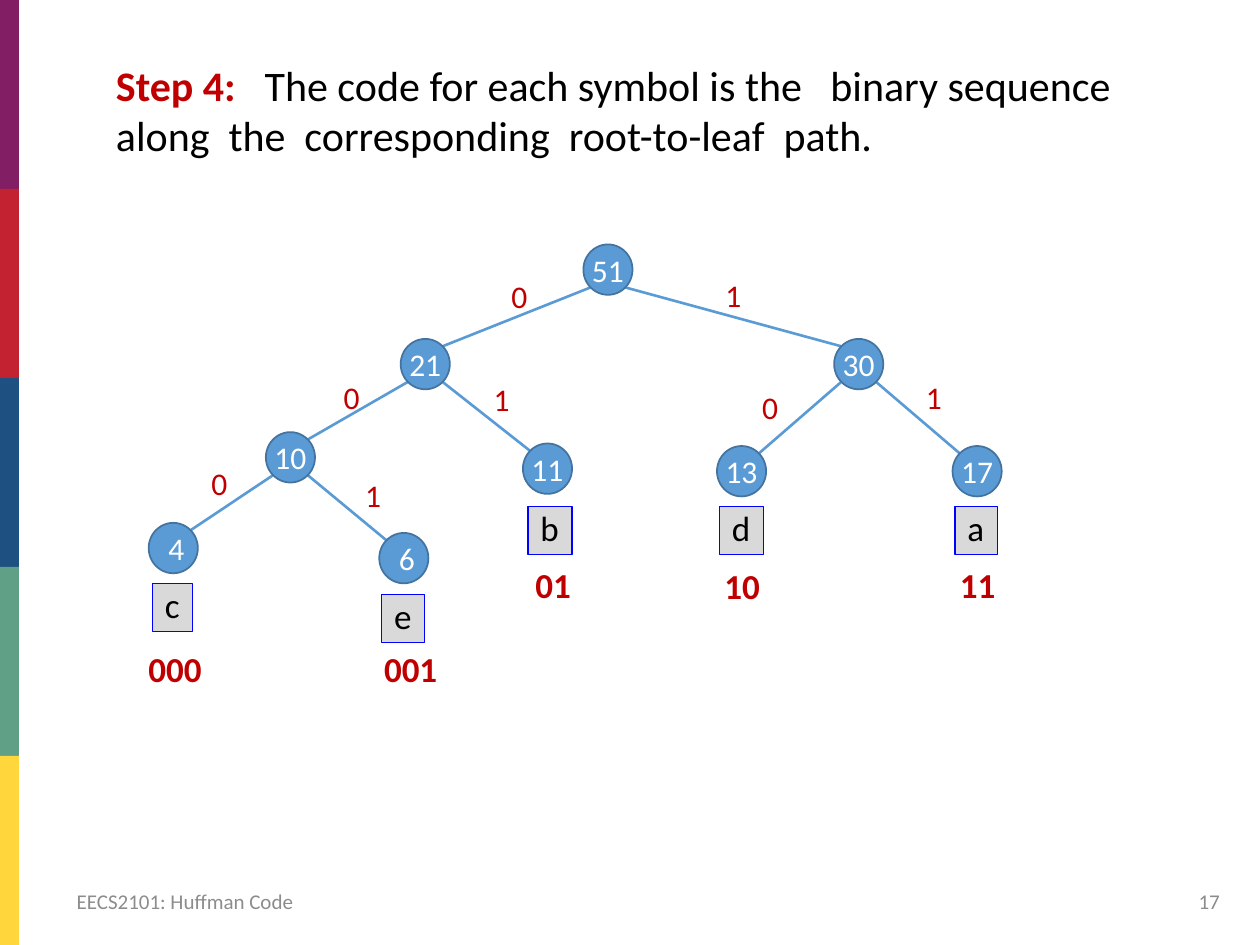
import lxml.etree
import math
import pptx
import pptx.util
from pptx.dml.color import RGBColor
from pptx.enum.shapes import MSO_CONNECTOR, MSO_SHAPE
from pptx.enum.text import MSO_ANCHOR, MSO_AUTO_SIZE, PP_ALIGN
from pptx.oxml.ns import qn
from pptx.util import Inches

FONT = "Calibri"
BLACK = RGBColor(0x00, 0x00, 0x00)
WHITE = RGBColor(0xFF, 0xFF, 0xFF)
RED = RGBColor(0xC0, 0x00, 0x00)
GREY = RGBColor(0x8C, 0x8C, 0x8C)
NODE_FILL = RGBColor(0x5B, 0x9B, 0xD5)
NODE_LINE = RGBColor(0x43, 0x73, 0x9E)
LETTER_FILL = RGBColor(0xD9, 0xD9, 0xD9)
LETTER_LINE = RGBColor(0x00, 0x00, 0xFF)
STRIPES = [
    RGBColor(0x82, 0x1E, 0x64),
    RGBColor(0xC3, 0x23, 0x30),
    RGBColor(0x1E, 0x50, 0x82),
    RGBColor(0x5F, 0xA0, 0x87),
    RGBColor(0xFF, 0xD7, 0x3C),
]

NODE_WIDTH, NODE_HEIGHT = 0.39, 0.4

# Weight: left and top of the node inside the tree's box
NODES = {
    "51": (3.63, 0.44),
    "21": (2.18, 1.19),
    "30": (5.62, 1.19),
    "10": (1.11, 1.93),
    "11": (3.15, 2.02),
    "13": (4.69, 2.04),
    "17": (6.56, 2.04),
    "4": (0.18, 2.65),
    "6": (2.01, 2.73),
}

# Parent, child, bit, left and top of the bit
EDGES = [
    ("51", "21", "0", 2.96, 0.65),
    ("51", "30", "1", 4.66, 0.64),
    ("21", "10", "0", 1.63, 1.45),
    ("21", "11", "1", 2.82, 1.47),
    ("30", "13", "0", 4.95, 1.53),
    ("30", "17", "1", 6.25, 1.45),
    ("10", "4", "0", 0.58, 2.13),
    ("10", "6", "1", 1.8, 2.23),
]

# Letter, its left, top and width, code, its left, top and width
LEAVES = [
    ("c", 0.21, 3.13, 0.32, "000", 0.08, 3.59, 0.63),
    ("e", 2.03, 3.22, 0.34, "001", 1.95, 3.59, 0.63),
    ("b", 3.19, 2.52, 0.35, "01", 3.15, 2.92, 0.49),
    ("d", 4.71, 2.52, 0.35, "10", 4.65, 2.93, 0.49),
    ("a", 6.58, 2.52, 0.34, "11", 6.52, 2.92, 0.49),
]


def write(shape, text, size=18, color=BLACK, bold=False, align=PP_ALIGN.LEFT,
          anchor=MSO_ANCHOR.TOP, wrap=True, insets=(0.1, 0.05, 0.1, 0.05)):
    """Append a formatted span to the shape's first paragraph."""
    frame = shape.text_frame
    frame.word_wrap = wrap
    frame.auto_size = MSO_AUTO_SIZE.NONE
    frame.vertical_anchor = anchor
    (frame.margin_left, frame.margin_top,
     frame.margin_right, frame.margin_bottom) = map(Inches, insets)
    para = frame.paragraphs[0]
    para.alignment = align
    span = para.add_run()
    span.text = text
    span.font.name = FONT
    span.font.size = pptx.util.Pt(size)
    span.font.bold = bold
    span.font.color.rgb = color


def add_label(page, left, top, width, height, text, **style):
    box = page.shapes.add_textbox(
        Inches(left), Inches(top), Inches(width), Inches(height))
    write(box, text, **style)


def add_filled(page, kind, left, top, width, height, fill, line=None, weight=1):
    shape = page.shapes.add_shape(
        kind, Inches(left), Inches(top), Inches(width), Inches(height))
    shape.shadow.inherit = False
    shape.fill.solid()
    shape.fill.fore_color.rgb = fill
    if line is None:
        shape.line.fill.background()
    else:
        shape.line.color.rgb = line
        shape.line.width = pptx.util.Pt(weight)
    return shape


def add_edge(page, start, end):
    edge = page.shapes.add_connector(
        MSO_CONNECTOR.STRAIGHT, *map(Inches, start + end))
    edge.line.color.rgb = NODE_FILL
    edge.line.width = pptx.util.Pt(1.5)
    lxml.etree.SubElement(edge._element.spPr, qn("a:effectLst"))


def node_corner(weight, across, down):
    """Point on a node's outline at 45 degrees; across and down are -1 or 1."""
    left, top = NODES[weight]
    reach = math.sqrt(0.5)
    return (left + NODE_WIDTH / 2 * (1 + across * reach),
            top + NODE_HEIGHT / 2 * (1 + down * reach))


def draw_stripes(page, left, top, width, height):
    step = height / len(STRIPES)
    for index, color in enumerate(STRIPES):
        add_filled(page, MSO_SHAPE.RECTANGLE, left, top + index * step,
                   width, step, color)


def draw_title(page, left, top, width, height):
    title = page.shapes.title
    title.left, title.top = Inches(left), Inches(top)
    title.width, title.height = Inches(width), Inches(height)
    write(title, "Step 4:  \t", size=24, color=RED, bold=True)
    write(title, "The code for each symbol is the   binary sequence "
                 "\talong  the  corresponding  root-to-leaf  path.", size=24)
    properties = title.text_frame.paragraphs[0]._p.get_or_add_pPr()
    tabs = lxml.etree.SubElement(properties, qn("a:tabLst"))
    for position in (1.18, 8.6):
        lxml.etree.SubElement(tabs, qn("a:tab"),
                              pos=str(Inches(position)), algn="l")


def draw_tree(page, left, top):
    for parent, child, bit, bit_left, bit_top in EDGES:
        side = -1 if bit == "0" else 1
        start = node_corner(parent, side, 1)
        end = node_corner(child, -side, -1)
        add_edge(page, (left + start[0], top + start[1]),
                 (left + end[0], top + end[1]))
        add_label(page, left + bit_left, top + bit_top, 0.33, 0.4, bit,
                  color=RED, wrap=False)

    for weight, (node_left, node_top) in NODES.items():
        node = add_filled(page, MSO_SHAPE.OVAL, left + node_left, top + node_top,
                          NODE_WIDTH, NODE_HEIGHT, NODE_FILL, NODE_LINE)
        side_inset = 0.1 if len(weight) == 1 else 0
        write(node, weight, color=WHITE, align=PP_ALIGN.CENTER,
              anchor=MSO_ANCHOR.MIDDLE,
              insets=(side_inset, 0.05, side_inset, 0.05))

    for (letter, letter_left, letter_top, letter_width,
         code, code_left, code_top, code_width) in LEAVES:
        tile = add_filled(page, MSO_SHAPE.RECTANGLE, left + letter_left,
                          top + letter_top, letter_width, 0.38,
                          LETTER_FILL, LETTER_LINE, 0.75)
        write(tile, letter, size=20, wrap=False, insets=(0.1, 0, 0.1, 0.04))
        add_label(page, left + code_left, top + code_top, code_width, 0.44, code,
                  size=20, color=RED, bold=True, wrap=False)


def draw_footer(page, left, top, width, height):
    style = {"size": 12, "color": GREY, "anchor": MSO_ANCHOR.MIDDLE}
    add_label(page, left, top, 3.34, height, "EECS2101: Huffman Code", **style)
    add_label(page, left + width - 2.25, top, 2.25, height, "17",
              align=PP_ALIGN.RIGHT, **style)


def main():
    deck = pptx.Presentation()
    deck.slide_width, deck.slide_height = Inches(10), Inches(7.5)
    page = deck.slides.add_slide(deck.slide_layouts.get_by_name("Title Only"))
    draw_stripes(page, 0, 0, 0.15, 7.5)
    draw_title(page, 0.82, 0.42, 9, 0.91)
    draw_tree(page, 1, 1.5)
    draw_footer(page, 0.51, 6.95, 9.27, 0.4)
    deck.save("out.pptx")


if __name__ == "__main__":
    main()
